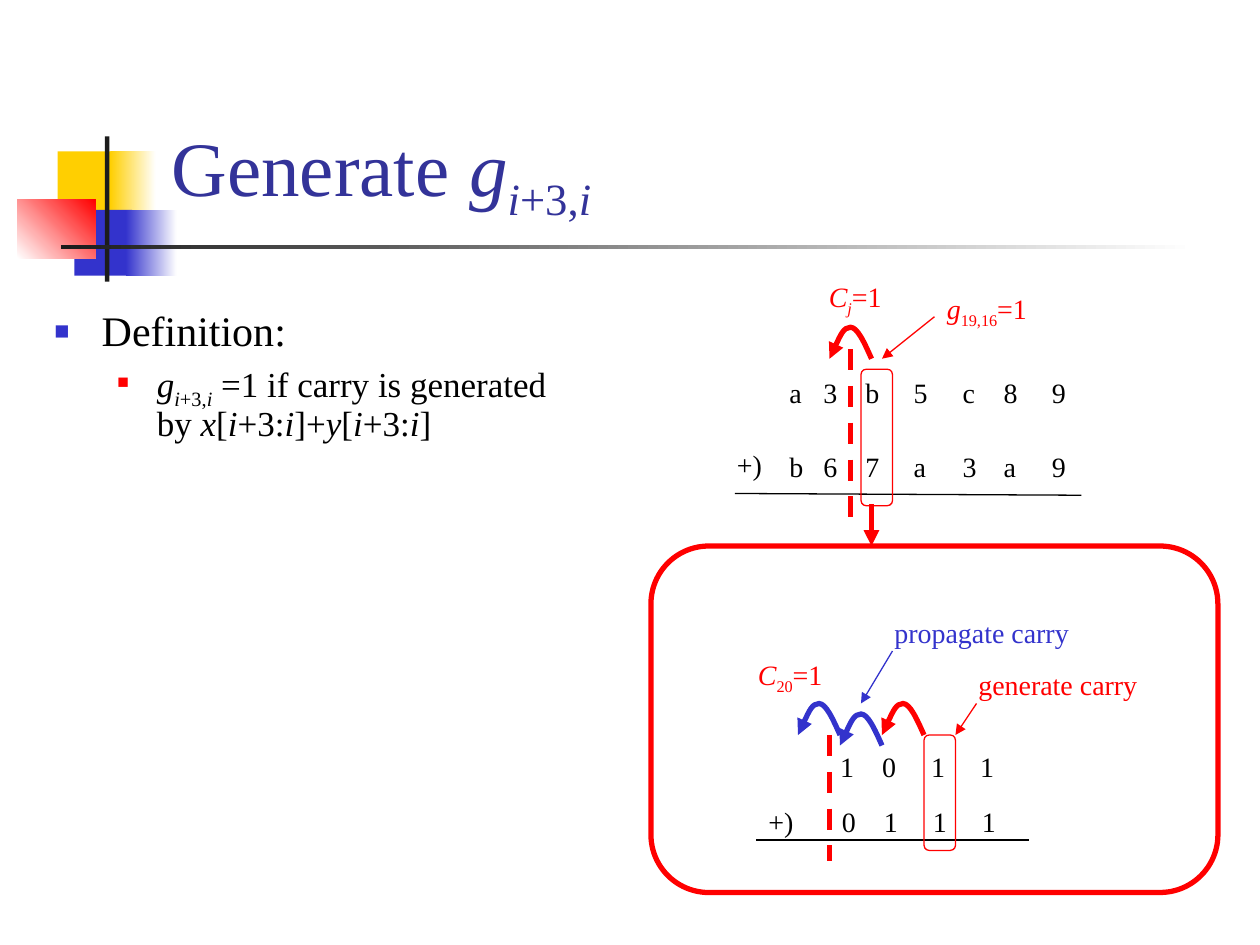
from lxml.etree import SubElement
from pptx import Presentation
from pptx.dml.color import RGBColor
from pptx.enum.dml import MSO_LINE
from pptx.enum.shapes import MSO_CONNECTOR, MSO_SHAPE
from pptx.enum.text import MSO_ANCHOR, MSO_AUTO_SIZE
from pptx.oxml.ns import qn
from pptx.util import Pt

FONT = "Times New Roman"
BLACK, WHITE, DARK = "000000", "FFFFFF", "1C1C1C"
RED, BLUE, NAVY, YELLOW = "FF0000", "3333CC", "333399", "FFCF01"
UPPER_TABS = (19.5, 43.5, 71, 99, 122.5, 150)
LOWER_TABS = (24, 52, 80)


def color(hex_value):
    return RGBColor.from_string(hex_value)


def add_runs(paragraph, runs, size, hex_value):
    """Add (text, style) runs; style letters are i for italic and s for subscript."""
    for text, style in runs:
        run = paragraph.add_run()
        run.text = text
        run.font.name, run.font.size = FONT, Pt(size)
        run.font.color.rgb = color(hex_value)
        run.font.italic = "i" in style
        if "s" in style:
            run.font._element.set("baseline", "-25000")


def add_text(slide, left, top, width, height, *paragraphs, size=16, hex_value=BLACK,
             wrap=False, anchor=MSO_ANCHOR.TOP):
    """Each paragraph is a string or a list of (text, style) runs."""
    shape = slide.shapes.add_textbox(Pt(left), Pt(top), Pt(width), Pt(height))
    frame = shape.text_frame
    frame.word_wrap = wrap
    frame.auto_size = MSO_AUTO_SIZE.NONE if wrap else MSO_AUTO_SIZE.SHAPE_TO_FIT_TEXT
    frame.vertical_anchor = anchor
    for index, runs in enumerate(paragraphs):
        paragraph = frame.add_paragraph() if index else frame.paragraphs[0]
        add_runs(paragraph, [(runs, "")] if isinstance(runs, str) else runs, size, hex_value)
    return frame


def add_label(slide, left, top, width, runs, hex_value=BLACK):
    add_text(slide, left, top, width, 26.5, runs, hex_value=hex_value)


def add_digits(slide, left, top, digits, tabs):
    """Add one row of digits on tab stops, in a box with room for the last digit."""
    width = tabs[-1] + 30
    frame = add_text(slide, left, top, width, 26.5, "\t".join(digits), wrap=True)
    tab_list = SubElement(frame.paragraphs[0]._p.get_or_add_pPr(), qn("a:tabLst"))
    for position in tabs:
        SubElement(tab_list, qn("a:tab"), pos=str(Pt(position)), algn="l")


def add_bullet(paragraph, left, hanging, hex_value, percent):
    properties = paragraph._p.get_or_add_pPr()
    properties.set("marL", str(Pt(left)))
    properties.set("indent", str(-Pt(hanging)))
    SubElement(SubElement(properties, qn("a:buClr")), qn("a:srgbClr"), val=hex_value)
    SubElement(properties, qn("a:buSzPct"), val=str(percent * 1000))
    SubElement(properties, qn("a:buFont"), typeface=FONT)
    SubElement(properties, qn("a:buChar"), char="■")
    paragraph.line_spacing = 0.9


def add_block(slide, left, top, width, height, start, end=None, angle=0):
    """Add a borderless rectangle, solid or fading from start to end."""
    shape = slide.shapes.add_shape(MSO_SHAPE.RECTANGLE, Pt(left), Pt(top), Pt(width), Pt(height))
    shape.shadow.inherit = False
    shape.line.fill.background()
    if end is None:
        shape.fill.solid()
        shape.fill.fore_color.rgb = color(start)
        return
    shape.fill.gradient()
    shape.fill.gradient_angle = angle
    for stop, hex_value in zip(shape.fill.gradient_stops, (start, end)):
        stop.color.rgb = color(hex_value)


def set_line(line, hex_value, width, arrow=False):
    line.color.rgb = color(hex_value)
    line.width = Pt(width)
    if arrow:
        SubElement(line._get_or_add_ln(), qn("a:tailEnd"), type="triangle")


def add_frame(slide, left, top, width, height, weight):
    shape = slide.shapes.add_shape(MSO_SHAPE.ROUNDED_RECTANGLE,
                                   Pt(left), Pt(top), Pt(width), Pt(height))
    shape.adjustments[0] = 0.167
    shape.shadow.inherit = False
    shape.fill.background()
    set_line(shape.line, RED, weight)


def add_line(slide, x1, y1, x2, y2, hex_value=BLACK, weight=0.75, arrow=False, dashed=False):
    connector = slide.shapes.add_connector(MSO_CONNECTOR.STRAIGHT, Pt(x1), Pt(y1), Pt(x2), Pt(y2))
    SubElement(connector._element.spPr, qn("a:effectLst"))
    if dashed:
        connector.line.dash_style = MSO_LINE.DASH
    set_line(connector.line, hex_value, weight, arrow)


def add_carry(slide, left, top, hex_value, width=24, height=18):
    """Add an arched arrow that leads from the right foot to the left foot."""
    points = [(Pt(left + width * x / 6), Pt(top + height * y / 2))
              for x, y in ((6, 2), (5, 1), (4, 0), (3, 0), (2, 0), (1, 1), (0, 2))]
    builder = slide.shapes.build_freeform(*points[0])
    builder.add_line_segments(points[1:], close=False)
    shape = builder.convert_to_shape()
    outline = next(shape._element.iter(qn("a:path")))
    segments = outline.findall(qn("a:lnTo"))
    for start in (0, 3):
        curve = SubElement(outline, qn("a:cubicBezTo"))
        for segment in segments[start:start + 3]:
            curve.append(segment[0])
            outline.remove(segment)
    shape.shadow.inherit = False
    shape.fill.background()
    set_line(shape.line, hex_value, 3, arrow=True)


def add_decoration(slide, left, top):
    add_block(slide, left + 23, top + 8.5, 34.5, 37.5, YELLOW)
    add_block(slide, left + 53, top + 8.5, 26, 37.5, YELLOW, WHITE)
    add_block(slide, left + 32.5, top + 42, 33, 37.5, BLUE)
    add_block(slide, left + 62, top + 42, 29, 37.5, BLUE, WHITE)
    add_block(slide, left, top + 36, 44.5, 33.5, WHITE, RED, angle=45)
    add_block(slide, left + 50, top, 2.5, 83, DARK)
    add_block(slide, left + 25, top + 62, 648, 2.5, DARK, WHITE)


def add_definition(slide, left, top, width, height):
    body = add_text(slide, left, top, width, height, [], [], wrap=True)
    heading, detail = body.paragraphs
    add_bullet(heading, 27, 27, BLUE, 60)
    add_runs(heading, [("Definition:", "")], 24, BLACK)
    add_bullet(detail, 58.5, 22.5, RED, 55)
    detail.space_before = Pt(4)
    add_runs(detail, [("g", "i"), ("i", "is"), ("+3,", "s"), ("i", "is"),
                      (" =1 if carry is generated by ", ""),
                      ("x", "i"), ("[", ""), ("i", "i"), ("+3:", ""), ("i", "i"), ("]+", ""),
                      ("y", "i"), ("[", ""), ("i", "i"), ("+3:", ""), ("i", "i"), ("]", "")],
             20, BLACK)


def add_full_sum(slide, left, top):
    add_digits(slide, left + 30, top + 55, "a3b5c89", UPPER_TABS)
    add_digits(slide, left + 30, top + 97.5, "b67a3a9", UPPER_TABS)
    add_label(slide, left, top + 96, 29, "+)")
    add_line(slide, left + 6, top + 126, left + 204, top + 127)
    add_line(slide, left + 72, top + 43.5, left + 72, top + 145, RED, 3, dashed=True)
    add_frame(slide, left + 78, top + 55, 18, 78, 0.75)
    add_carry(slide, left + 60, top + 31, RED)
    add_label(slide, left + 52.5, top, 45.5, [("C", "i"), ("j", "is"), ("=1", "")], RED)
    add_label(slide, left + 120, top + 7, 64, [("g", "i"), ("19,16", "s"), ("=1", "")], RED)
    add_line(slide, left + 120, top + 25, left + 90, top + 49, RED, arrow=True)
    add_line(slide, left + 84, top + 132, left + 84, top + 156, RED, 3, arrow=True)


def add_carry_panel(slide, left, top, width, height):
    add_digits(slide, left + 101, top + 113, "1011", LOWER_TABS)
    add_digits(slide, left + 102, top + 144, "0111", LOWER_TABS)
    add_label(slide, left + 60, top + 144, 29, "+)")
    add_line(slide, left + 60, top + 168, left + 216, top + 168)
    add_line(slide, left + 102, top + 108, left + 102, top + 180, RED, 3, dashed=True)
    add_frame(slide, left, top, width, height, 3)
    add_frame(slide, left + 156, top + 108, 18, 66, 0.75)
    for x, y, hex_value in ((132, 90, RED), (84, 90, BLUE), (108, 96, BLUE)):
        add_carry(slide, left + x, top + y, hex_value)
    add_label(slide, left + 54, top + 60, 53.5, [("C", "i"), ("20", "s"), ("=1", "")], RED)
    add_label(slide, left + 180, top + 66, 106, "generate carry", RED)
    add_line(slide, left + 186, top + 90, left + 174, top + 108, RED, arrow=True)
    add_label(slide, left + 132, top + 36, 114.5, "propagate carry", BLUE)
    add_line(slide, left + 138, top + 60, left + 120, top + 90, BLUE, arrow=True)


def main():
    presentation = Presentation()
    presentation.slide_width, presentation.slide_height = Pt(720), Pt(540)
    slide = presentation.slides.add_slide(presentation.slide_layouts[6])
    add_decoration(slide, 10, 78)
    add_text(slide, 91, 17, 613.5, 115,
             [("Generate ", ""), ("g", "i"), ("i", "is"), ("+3,", "s"), ("i", "is")],
             size=44, hex_value=NAVY, wrap=True, anchor=MSO_ANCHOR.BOTTOM)
    add_definition(slide, 24, 174, 312, 84)
    add_full_sum(slide, 414, 156)
    add_carry_panel(slide, 372, 312, 324, 198)
    presentation.save("out.pptx")


if __name__ == "__main__":
    main()
